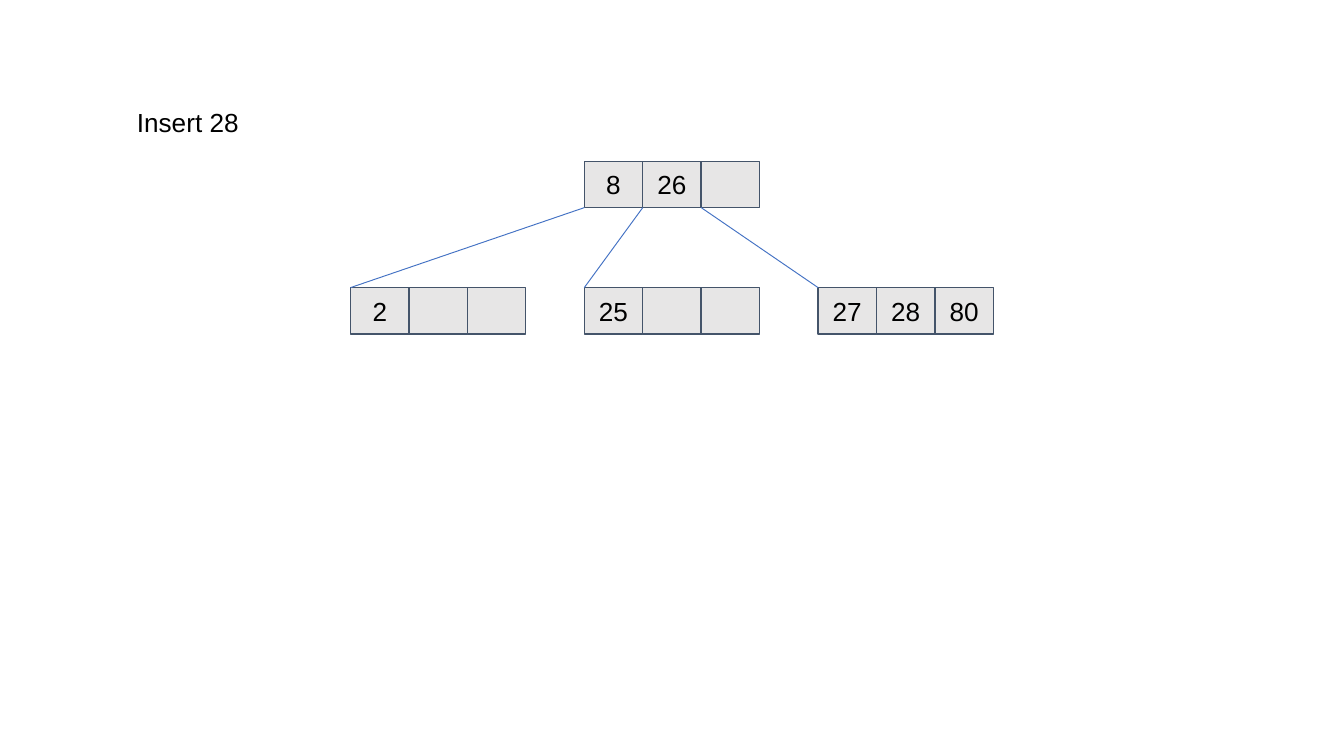
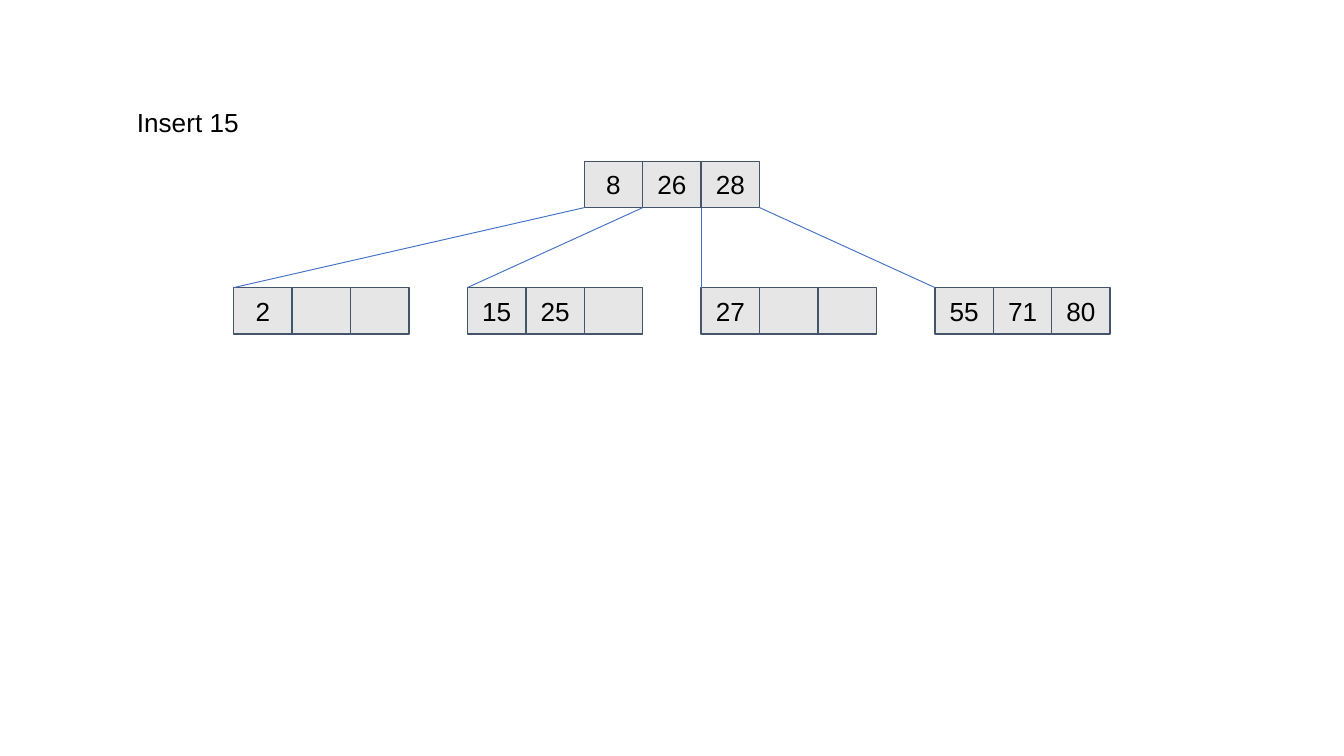
from dataclasses import dataclass

from lxml import etree
from pptx import Presentation
from pptx.dml.color import RGBColor
from pptx.enum.shapes import MSO_CONNECTOR, MSO_SHAPE
from pptx.enum.text import MSO_ANCHOR, MSO_AUTO_SIZE, PP_ALIGN
from pptx.oxml.ns import qn
from pptx.slide import Slide
from pptx.text.text import TextFrame
from pptx.util import Inches, Pt

RECT, STRAIGHT = MSO_SHAPE.RECTANGLE, MSO_CONNECTOR.STRAIGHT
MIDDLE, CENTER = MSO_ANCHOR.MIDDLE, PP_ALIGN.CENTER
FIT_SHAPE = MSO_AUTO_SIZE.SHAPE_TO_FIT_TEXT

WIDTH, HEIGHT = Inches(10), Inches(5.625)
COL = WIDTH / 23
ROW = Inches(0.345)
ROOT_TOP, LEAF_TOP = Inches(1.2), Inches(2.14)

KEYS_PER_NODE = 3
ROOT_COL = 10
LEAF_STEP = KEYS_PER_NODE + 1

FONT, SIZE = "Arial", Pt(14)
INK, CELL_FILL, CELL_LINE, EDGE = "000000", "E7E6E6", "44546A", "4472C4"


@dataclass(frozen=True)
class TreeStep:
    title: str
    root: tuple[int, ...]
    leaves: tuple[tuple[int, ...], ...]


STEPS = (
    TreeStep("Insert 28", (8, 26), ((2,), (25,), (27, 28, 80))),
    TreeStep("Insert 15", (8, 26, 28), ((2,), (15, 25), (27,), (55, 71, 80))),
)


def color(value: str) -> RGBColor:
    return RGBColor.from_string(value)


def add_run(tf: TextFrame, text: str) -> None:
    r = tf.paragraphs[0].add_run()
    r.text = text
    r.font.name, r.font.size = FONT, SIZE
    r.font.color.rgb = color(INK)


def add_title(s: Slide, text: str) -> None:
    box = s.shapes.add_textbox(Inches(0.92), Inches(0.74), Inches(0.96), Inches(0.34))
    tf = box.text_frame
    tf.word_wrap = False
    tf.auto_size = FIT_SHAPE
    add_run(tf, text)


def add_cell(s: Slide, col: int, top: int, text: str) -> None:
    sp = s.shapes.add_shape(RECT, round(col * COL), top, round(COL), ROW)
    sp.shadow.inherit = False
    sp.fill.solid()
    sp.fill.fore_color.rgb = color(CELL_FILL)
    sp.line.color.rgb = color(CELL_LINE)
    sp.line.width = Pt(0.75)
    if text:
        tf = sp.text_frame
        tf.vertical_anchor = MIDDLE
        tf.margin_left = tf.margin_right = Inches(0.1)
        tf.margin_top = tf.margin_bottom = Inches(0.1)
        tf.paragraphs[0].alignment = CENTER
        add_run(tf, text)


def add_node(s: Slide, col: int, top: int, keys: tuple[int, ...]) -> None:
    """Draw a row of key cells, leaving the unused ones empty."""
    for i in range(KEYS_PER_NODE):
        add_cell(s, col + i, top, str(keys[i]) if i < len(keys) else "")


def add_edge(s: Slide, from_col: int, to_col: int) -> None:
    """Link the bottom of the root to the top left corner of a leaf."""
    line = s.shapes.add_connector(STRAIGHT, round(from_col * COL), ROOT_TOP + ROW,
                                  round(to_col * COL), LEAF_TOP)
    line.line.color.rgb = color(EDGE)
    line.line.width = Pt(0.5)
    etree.SubElement(line._element.spPr, qn("a:effectLst"))


def add_tree(s: Slide, step: TreeStep) -> None:
    """Draw the root with its leaves centred below it."""
    add_node(s, ROOT_COL, ROOT_TOP, step.root)
    first = ROOT_COL - LEAF_STEP * (len(step.leaves) - 1) // 2
    leaf_cols = [first + LEAF_STEP * i for i in range(len(step.leaves))]
    for col, keys in zip(leaf_cols, step.leaves):
        add_node(s, col, LEAF_TOP, keys)
    for i, col in enumerate(leaf_cols):
        add_edge(s, ROOT_COL + i, col)


def main() -> None:
    prs = Presentation()
    prs.slide_width, prs.slide_height = WIDTH, HEIGHT
    blank = prs.slide_layouts[6]
    for step in STEPS:
        s = prs.slides.add_slide(blank)
        add_tree(s, step)
        add_title(s, step.title)
    prs.save("out.pptx")


if __name__ == "__main__":
    main()
